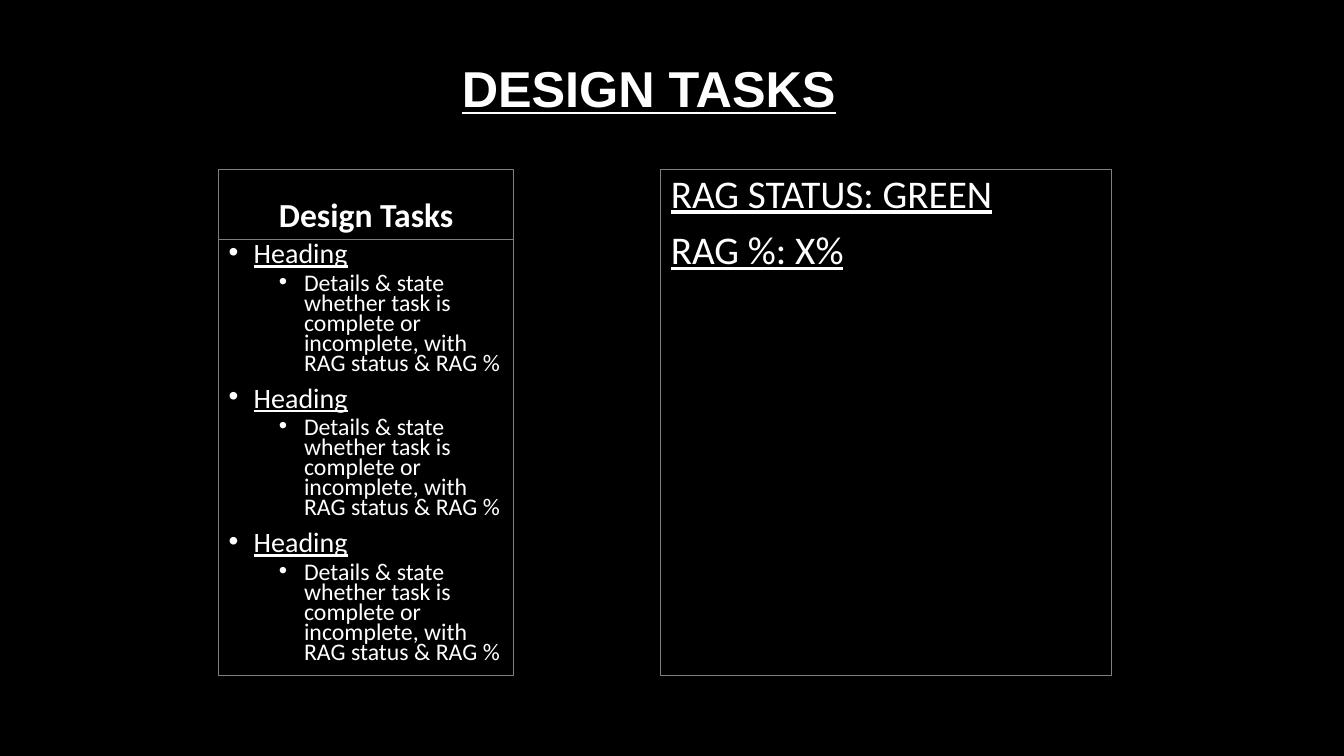
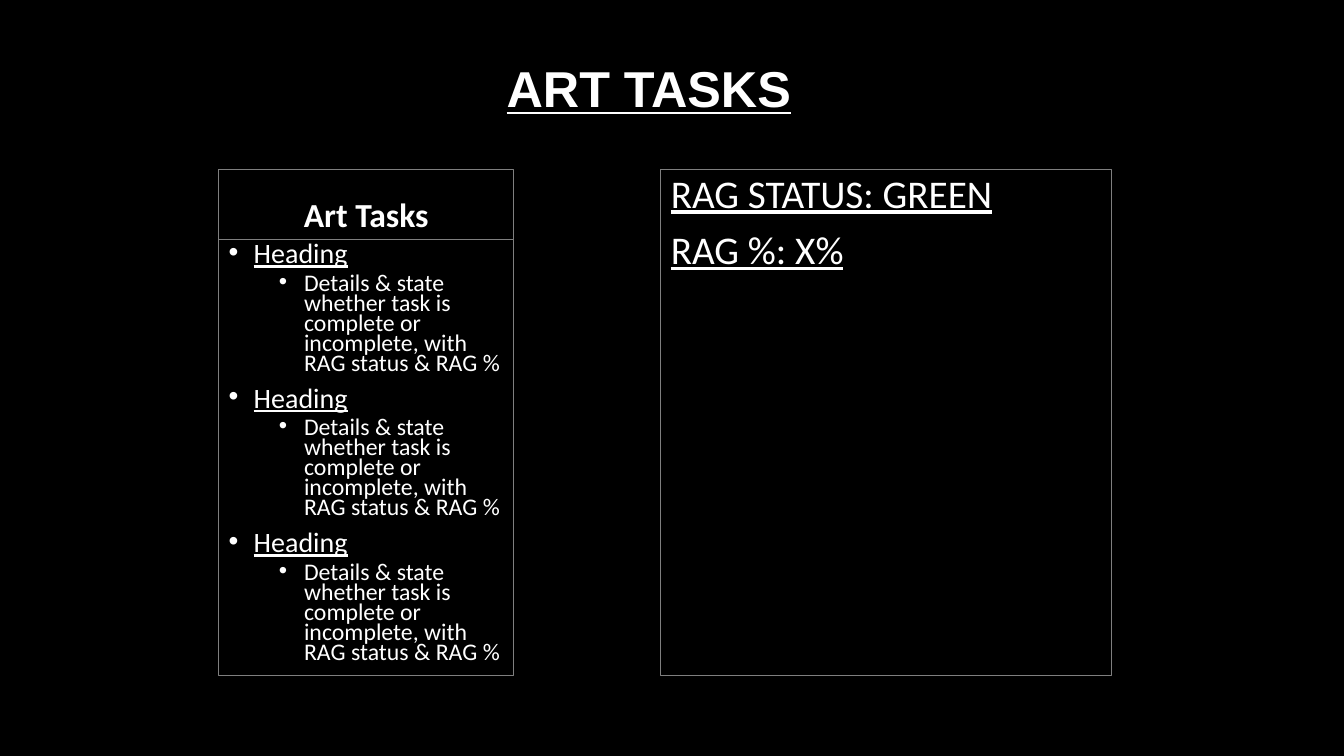
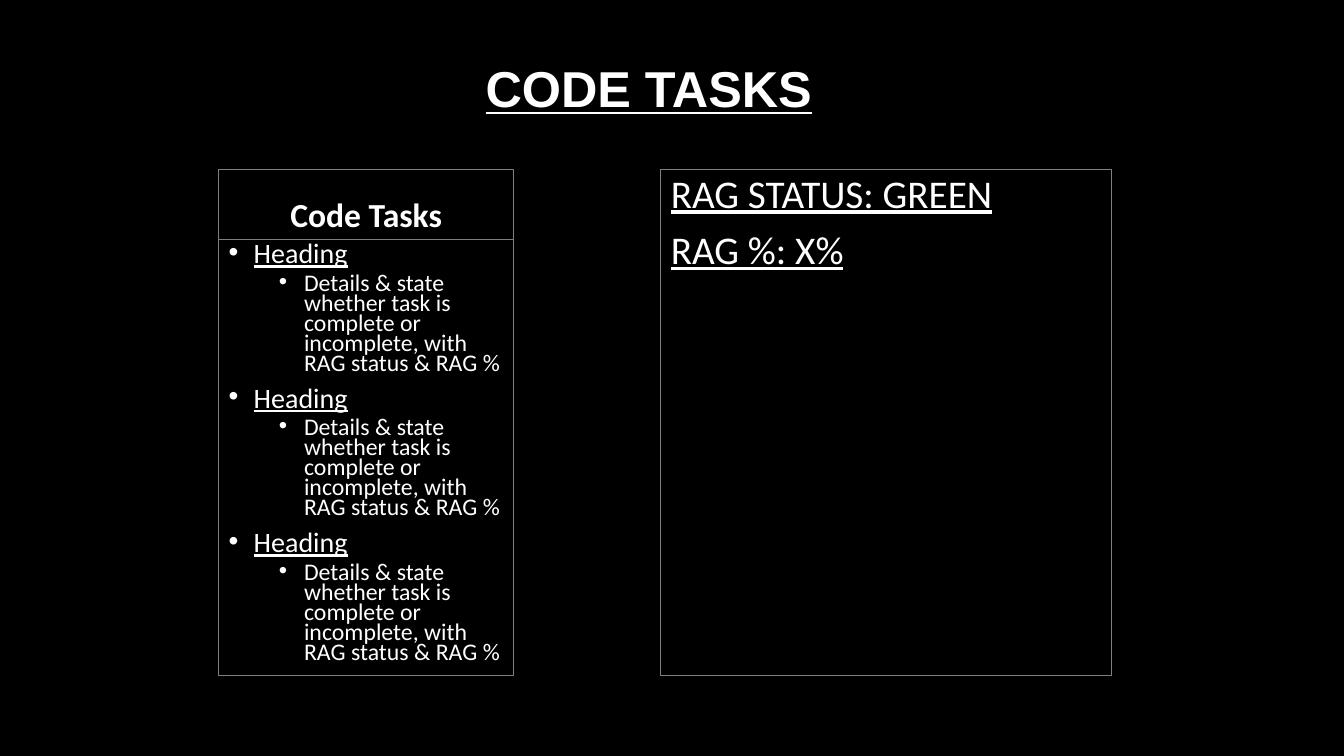
from dataclasses import dataclass

from lxml.etree import SubElement
from pptx import Presentation
from pptx.dml.color import RGBColor as RGB
from pptx.enum.shapes import MSO_SHAPE as SHAPE
from pptx.enum.text import MSO_ANCHOR as ANCHOR, MSO_AUTO_SIZE as AUTO, PP_ALIGN as ALIGN
from pptx.oxml.ns import qn
from pptx.util import Pt

PX = 9144  # one px is a hundredth of an inch


@dataclass(frozen=True)
class Theme:
    back: str = "000000"
    text: str = "FFFFFF"
    border: str = "7F7F7F"
    title_font: str = "Arial"
    body_font: str = "Calibri"
    title: int = 36
    status: int = 28
    header: int = 24
    heading: int = 20
    detail: int = 17


T = Theme()


def add_panel(s, x, y, w, h, anchor=ANCHOR.TOP):
    """Add an outlined, unfilled box and return its text frame."""
    sp = s.shapes.add_shape(SHAPE.RECTANGLE, x * PX, y * PX, w * PX, h * PX)
    sp.shadow.inherit = False
    sp.fill.background()
    sp.line.color.rgb = RGB.from_string(T.border)
    sp.line.width = Pt(0.75)
    tf = sp.text_frame
    tf.word_wrap = True
    tf.vertical_anchor = anchor
    return tf


def write(tf, text, size, font=T.body_font, align=ALIGN.LEFT, spacing=0.9,
          before=10, bold=False, underline=False, level=0, indent=None):
    """Write one paragraph; an indent in px makes it a bullet."""
    first = not tf.text
    p = tf.paragraphs[0] if first else tf.add_paragraph()
    if indent is not None:
        pPr = p._p.get_or_add_pPr()
        pPr.set("marL", str(indent * PX))
        pPr.set("indent", str(-25 * PX))
        SubElement(SubElement(pPr, qn("a:buClr")), qn("a:srgbClr")).set("val", T.text)
        SubElement(pPr, qn("a:buFont")).set("typeface", "Arial")
        SubElement(pPr, qn("a:buChar")).set("char", "•")
    p.level = level
    p.alignment = align
    p.line_spacing = spacing
    p.space_before = Pt(0 if first else before)
    r = p.add_run()
    r.text = text
    r.font.name = font
    r.font.size = Pt(size)
    r.font.bold = bold
    r.font.underline = underline
    r.font.color.rgb = RGB.from_string(T.text)


# Presentation and shared background
prs = Presentation()
prs.slide_width, prs.slide_height = 1334 * PX, 750 * PX
fill = prs.slide_master.background.fill
fill.solid()
fill.fore_color.rgb = RGB.from_string(T.back)

# Panel grid
LEFT, TOP, BOTTOM = 217, 168, 670
LIST_W, HEADER_H = 293, 70
STATUS_X, STATUS_W = 656, 447

DETAIL = "Details & state whether task is complete or incomplete, with RAG status & RAG %"

for team in ("Design", "Art", "Code"):
    s = prs.slides.add_slide(prs.slide_layouts[5])
    name = f"{team} Tasks"

    # Title
    title = s.shapes.title
    title.left, title.top, title.width, title.height = 194 * PX, 28 * PX, 900 * PX, 125 * PX
    tf = title.text_frame
    tf.word_wrap = True
    tf.auto_size = AUTO.NONE
    tf.vertical_anchor = ANCHOR.MIDDLE
    write(tf, name.upper(), T.title, font=T.title_font, align=ALIGN.CENTER,
          bold=True, underline=True)

    # Task list with its header
    tf = add_panel(s, LEFT, TOP, LIST_W, HEADER_H, ANCHOR.BOTTOM)
    write(tf, name, T.header, align=ALIGN.CENTER, bold=True)
    list_y = TOP + HEADER_H
    tf = add_panel(s, LEFT, list_y, LIST_W, BOTTOM - list_y)
    for _ in range(3):
        write(tf, "Heading", T.heading, spacing=0.7, underline=True, indent=25)
        write(tf, DETAIL, T.detail, spacing=0.7, before=5, level=1, indent=75)

    # RAG status
    tf = add_panel(s, STATUS_X, TOP, STATUS_W, BOTTOM - TOP)
    for line in ("RAG STATUS: GREEN", "RAG %: X%"):
        write(tf, line, T.status, underline=True)

prs.save("out.pptx")
